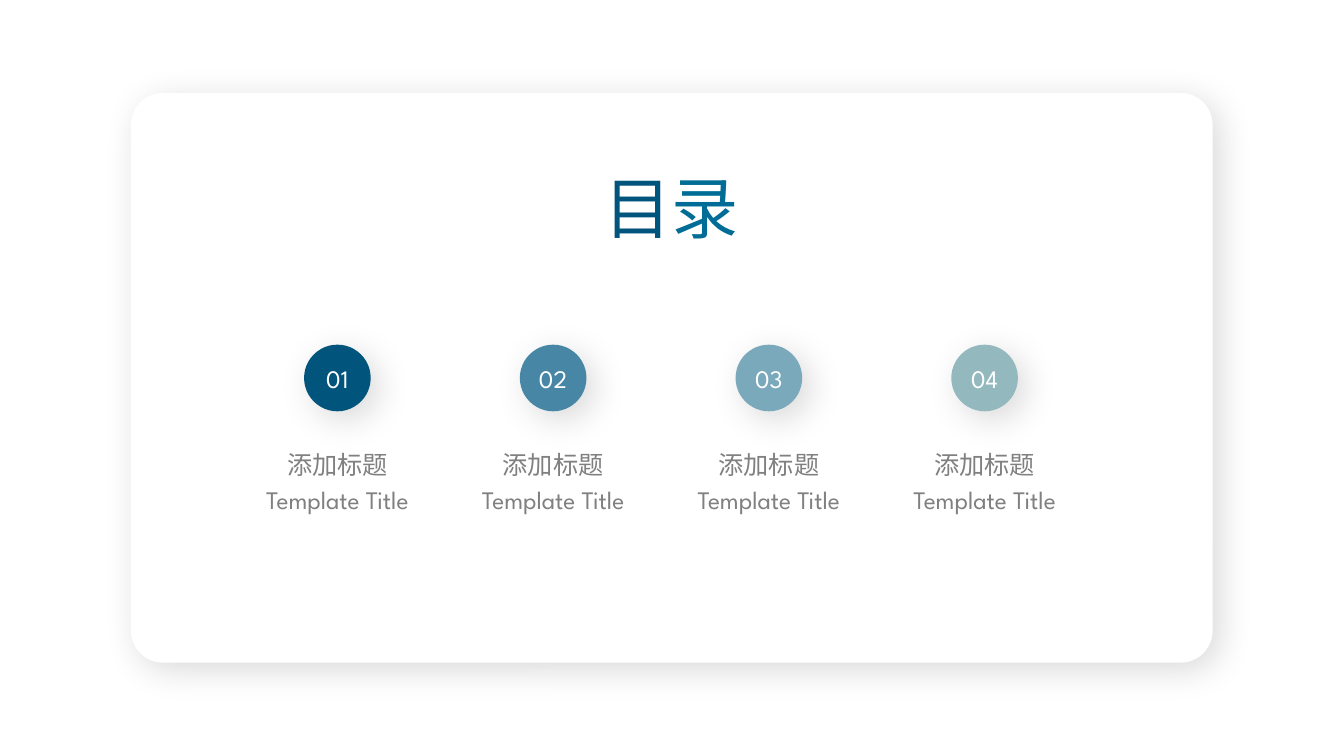
"""Build a contents slide: a floating card, a heading and four numbered entries."""
from dataclasses import dataclass

from lxml import etree
from pptx import Presentation
from pptx import util as u
from pptx.dml import color
from pptx.enum import shapes, text
from pptx.oxml import ns

NAVY = color.RGBColor(0x01, 0x54, 0x7C)
TEAL = color.RGBColor(0x01, 0x6C, 0x95)
STEEL = color.RGBColor(0x48, 0x86, 0xA6)
SKY = color.RGBColor(0x7A, 0xA9, 0xBB)
SAGE = color.RGBColor(0x93, 0xB9, 0xBF)
GREY = color.RGBColor(0x80, 0x80, 0x80)
WHITE = color.RGBColor(0xFF, 0xFF, 0xFF)
LATIN = "League Spartan"
HAN = "Noto Sans CJK SC"

FIRST = 241
STEP = 154.1
DISC = 47.6
DISC_TOP = 246.2


@dataclass(frozen=True)
class Entry:
    mark: str
    fill: color.RGBColor


@dataclass(frozen=True)
class Label:
    words: str
    top: float
    width: float


ENTRIES = (Entry("01", NAVY), Entry("02", STEEL), Entry("03", SKY), Entry("04", SAGE))
LABELS = (Label("添加标题", 317.5, 87.1), Label("Template Title", 342.7, 135.4))


def add_run(para, words: str, size: float, ink: color.RGBColor, face: str = LATIN) -> None:
    para.alignment = text.PP_ALIGN.CENTER
    run = para.add_run()
    run.text = words
    run.font.size = u.Pt(size)
    run.font.name = face
    run.font.color.rgb = ink
    latin = run.font._element.find(ns.qn("a:latin"))
    east = etree.Element(ns.qn("a:ea"), typeface=HAN)
    latin.addnext(east)


def add_panel(slide, kind, left: float, top: float, width: float, height: float,
              fill: color.RGBColor):
    panel = slide.shapes.add_shape(kind, u.Pt(left), u.Pt(top), u.Pt(width), u.Pt(height))
    panel.fill.solid()
    panel.fill.fore_color.rgb = fill
    panel.line.fill.background()
    panel.shadow.inherit = False
    effects = panel._element.spPr.find(ns.qn("a:effectLst"))
    shade = etree.SubElement(effects, ns.qn("a:outerShdw"), blurRad=str(u.Pt(25)),
                             dist=str(u.Pt(8)), dir="2700000", algn="tl", rotWithShape="0")
    tint = etree.SubElement(shade, ns.qn("a:srgbClr"), val="000000")
    etree.SubElement(tint, ns.qn("a:alpha"), val="15000")
    return panel


def add_title(slide) -> None:
    title = slide.shapes.title
    title.left, title.top = u.Pt(424.1), u.Pt(115.2)
    title.width, title.height = u.Pt(111.6), u.Pt(65.5)
    frame = title.text_frame
    frame.word_wrap = False
    frame.auto_size = text.MSO_AUTO_SIZE.SHAPE_TO_FIT_TEXT
    frame.vertical_anchor = text.MSO_ANCHOR.TOP
    para = frame.paragraphs[0]
    add_run(para, "目", 48, NAVY, HAN)
    add_run(para, "录", 48, TEAL, HAN)


def add_labels(slide, mid: float) -> None:
    group = slide.shapes.add_group_shape()
    for label in LABELS:
        box = group.shapes.add_textbox(u.Pt(mid - label.width / 2), u.Pt(label.top),
                                       u.Pt(label.width), u.Pt(28.8))
        frame = box.text_frame
        frame.word_wrap = False
        frame.auto_size = text.MSO_AUTO_SIZE.SHAPE_TO_FIT_TEXT
        add_run(frame.paragraphs[0], label.words, 18, GREY)


def add_disc(slide, mid: float, entry: Entry) -> None:
    disc = add_panel(slide, shapes.MSO_SHAPE.OVAL, mid - DISC / 2, DISC_TOP,
                     DISC, DISC, entry.fill)
    frame = disc.text_frame
    frame.margin_left = frame.margin_right = frame.margin_top = frame.margin_bottom = 0
    frame.vertical_anchor = text.MSO_ANCHOR.MIDDLE
    add_run(frame.paragraphs[0], entry.mark, 18, WHITE)


def main() -> None:
    deck = Presentation()
    deck.slide_width, deck.slide_height = u.Pt(960), u.Pt(540)
    slide = deck.slides.add_slide(deck.slide_layouts[5])
    slide.background.fill.solid()
    slide.background.fill.fore_color.rgb = WHITE

    card = add_panel(slide, shapes.MSO_SHAPE.ROUNDED_RECTANGLE, 93.6, 66.4, 772.6, 407, WHITE)
    card.adjustments[0] = 0.056
    slide.shapes.title._element.addprevious(card._element)
    add_title(slide)

    for index, entry in enumerate(ENTRIES):
        mid = FIRST + index * STEP
        add_labels(slide, mid)
        add_disc(slide, mid, entry)

    deck.save("out.pptx")


if __name__ == "__main__":
    main()
